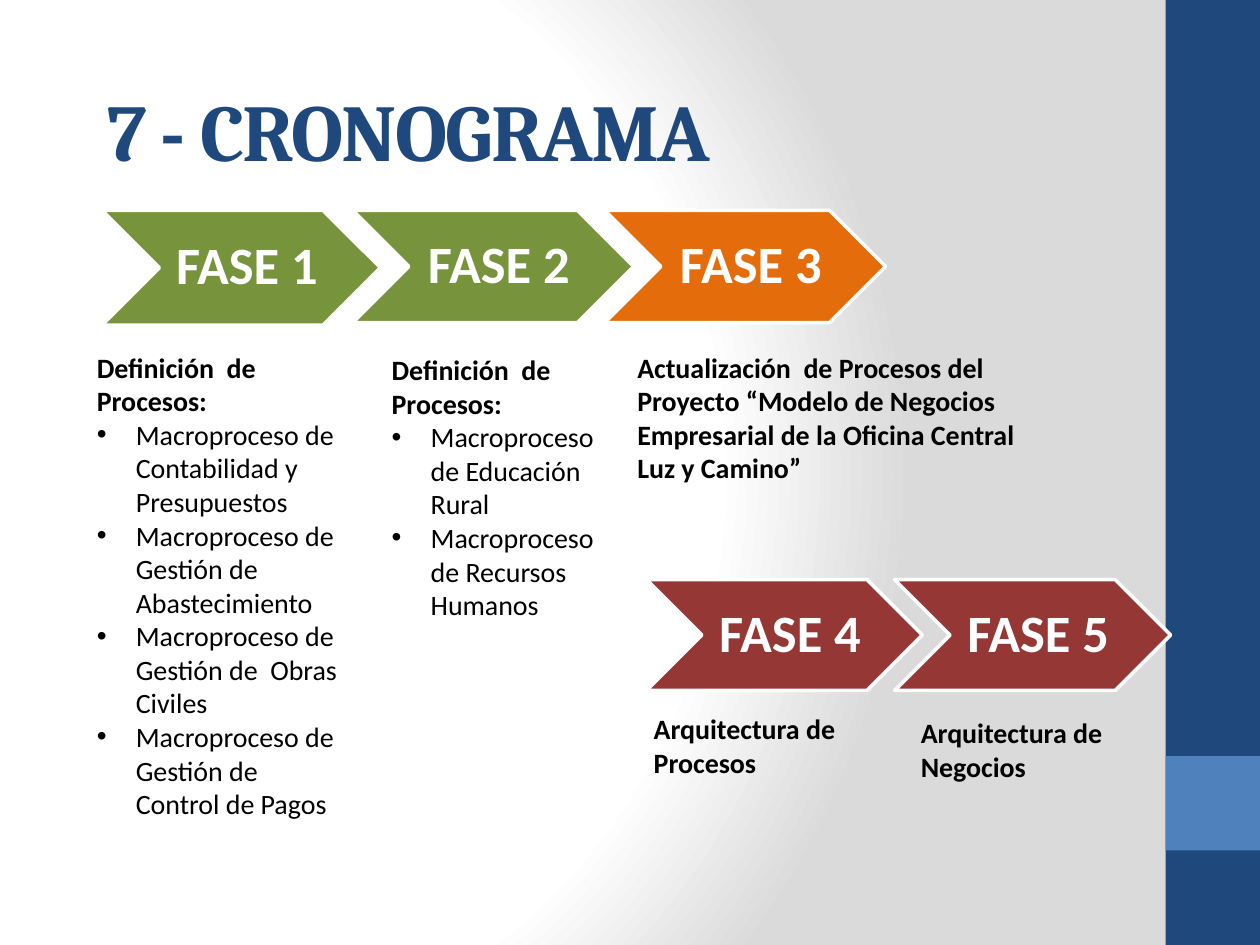
"""Builds the project schedule slide with five phases."""
from lxml.etree import SubElement
from pptx import Presentation
from pptx.dml.color import RGBColor
from pptx.enum.shapes import MSO_SHAPE as Shape
from pptx.enum.text import MSO_ANCHOR as Anchor, PP_ALIGN as Align
from pptx.oxml import parse_xml
from pptx.oxml.ns import nsdecls, qn
from pptx.util import Inches, Pt


def paint(color_format, value):
    color_format.rgb = RGBColor.from_string(value)


def add_span(para, text, size, color, bold=True, font="Calibri"):
    span = para.add_run()
    span.text = text
    span.font.name = font
    span.font.size = Pt(size)
    span.font.bold = bold
    paint(span.font.color, color)
    return span


deck = Presentation()
deck.slide_width, deck.slide_height = Inches(10), Inches(7.5)
page = deck.slides.add_slide(deck.slide_layouts[5])

fill = page.background.fill
fill.gradient()
gradient = page.background._cSld.find(".//" + qn("a:gradFill"))
stops = "".join(
    f'<a:gs pos="{position * 1000}"><a:srgbClr val="{color}"/></a:gs>'
    for position, color in [(0, "FFFFFF"), (75, "FFFFFF"), (100, "DADADA")]
)
gradient.getparent().replace(gradient, parse_xml(
    f'<a:gradFill {nsdecls("a")} rotWithShape="1"><a:gsLst>{stops}</a:gsLst>'
    '<a:path path="circle"><a:fillToRect l="20000" t="50000" r="100000" b="50000"/>'
    '</a:path></a:gradFill>'
))

for top, height, color in [(0, 7.5, "1F497D"), (6, 0.75, "4F81BD")]:
    band = page.shapes.add_shape(
        Shape.RECTANGLE, Inches(9.25), Inches(top), Inches(0.75), Inches(height))
    band.shadow.inherit = False
    band.fill.solid()
    paint(band.fill.fore_color, color)
    band.line.fill.background()

title = page.shapes.title
title.left, title.top = Inches(0.75), Inches(0.52)
title.width, title.height = Inches(8.27), Inches(1.01)
title.text_frame.vertical_anchor = Anchor.MIDDLE
para = title.text_frame.paragraphs[0]
para.alignment = Align.LEFT
span = add_span(para, "7 - CRONOGRAMA", 46, "1F497D", font="Cambria")
span.font._element.set("spc", "-100")

phases = [
    (0.81, 1.67, 2.21, 0.91, "77933C"),
    (2.8, 1.67, 2.23, 0.89, "77933C"),
    (4.8, 1.67, 2.23, 0.89, "E46C0A"),
    (5.13, 4.6, 2.19, 0.88, "953735"),
    (7.1, 4.6, 2.19, 0.88, "953735"),
]
for number, (left, top, width, height, color) in enumerate(phases, 1):
    phase = page.shapes.add_shape(
        Shape.CHEVRON, Inches(left), Inches(top), Inches(width), Inches(height))
    phase.shadow.inherit = False
    phase.fill.solid()
    paint(phase.fill.fore_color, color)
    paint(phase.line.color, "FFFFFF")
    phase.line.width = Pt(2)
    frame = phase.text_frame
    frame.word_wrap = False
    frame.vertical_anchor = Anchor.MIDDLE
    frame.margin_left = Inches(0.13)
    frame.margin_top = frame.margin_right = frame.margin_bottom = Inches(0.04)
    para = frame.paragraphs[0]
    para.alignment = Align.CENTER
    para.line_spacing = 0.9
    add_span(para, f"FASE {number}", 30, "FFFFFF")

details = [
    (0.67, 2.73, 2.11, 4.48, "Definición  de Procesos:", [
        "Macroproceso de Contabilidad y Presupuestos",
        "Macroproceso de Gestión de Abastecimiento",
        "Macroproceso de Gestión de  Obras Civiles",
        "Macroproceso de Gestión de Control de Pagos",
    ]),
    (3.01, 2.75, 1.95, 2.86, "Definición  de Procesos:", [
        "Macroproceso de Educación Rural",
        "Macroproceso de Recursos Humanos",
    ]),
    (4.96, 2.73, 3.24, 1.48,
     "Actualización  de Procesos del Proyecto “Modelo de Negocios "
     "Empresarial de la Oficina Central Luz y Camino”", []),
    (5.09, 5.6, 2.33, 0.64, "Arquitectura de Procesos", []),
    (7.21, 5.63, 2.1, 0.94, "Arquitectura de Negocios", []),
]
for left, top, width, height, heading, items in details:
    box = page.shapes.add_textbox(
        Inches(left), Inches(top), Inches(width), Inches(height))
    frame = box.text_frame
    frame.word_wrap = True
    add_span(frame.paragraphs[0], heading, 16, "000000")
    for item in items:
        para = frame.add_paragraph()
        add_span(para, item, 16, "000000", bold=False)
        properties = para._p.get_or_add_pPr()
        properties.set("marL", str(Inches(0.31)))
        properties.set("indent", str(-Inches(0.31)))
        SubElement(properties, qn("a:buFont"), typeface="Arial")
        SubElement(properties, qn("a:buChar"), char="•")

deck.save("out.pptx")
